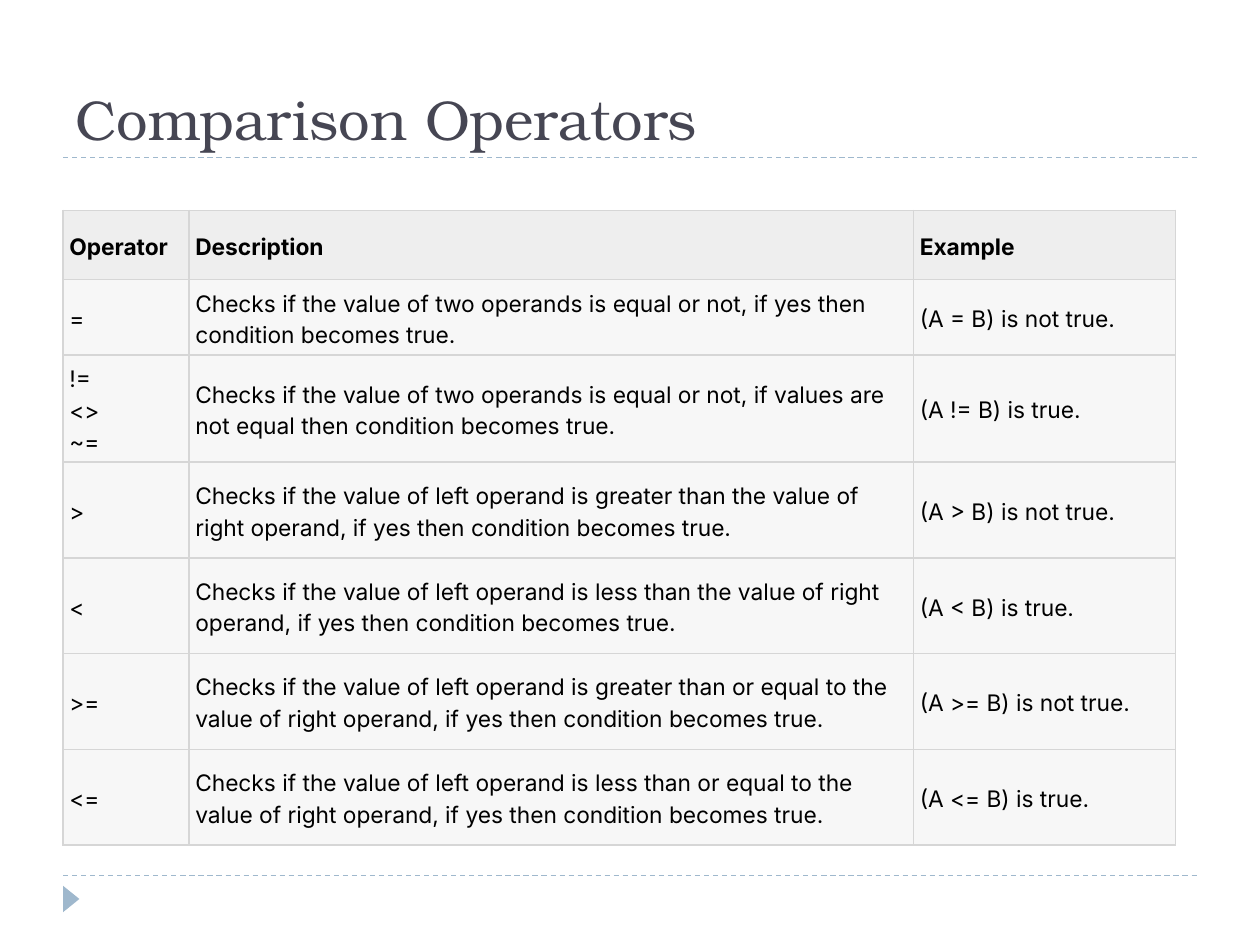
from lxml.etree import SubElement as Sub
from pptx import Presentation
from pptx.dml.color import RGBColor as Rgb
from pptx.enum.dml import MSO_LINE as Dash
from pptx.enum.shapes import MSO_CONNECTOR as Conn, MSO_SHAPE as Kind
from pptx.enum.text import MSO_ANCHOR as Anchor
from pptx.oxml.ns import qn
from pptx.util import Inches, Pt

WIDE, HIGH = Inches(10), Inches(7.5)
COL, ROW = WIDE / 20, HIGH / 30
HUES = {"title": "464653", "rule": "9FB8CD", "edge": "D6D6D6",
        "head": "EEEEEE", "body": "F7F7F7", "text": "000000"}
CHECK = "Checks if the value of "
YES = ", if yes then condition becomes true."
DATA = [
    ("Operator", "Description", "Example"),
    ("=", CHECK + "two operands is equal or not" + YES, "(A = B) is not true."),
    ("!=\n<>\n~=", CHECK + "two operands is equal or not, if values are "
     "not equal then condition becomes true.", "(A != B) is true."),
    (">", CHECK + "left operand is greater than the value of right operand" + YES,
     "(A > B) is not true."),
    ("<", CHECK + "left operand is less than the value of right operand" + YES,
     "(A < B) is true."),
    (">=", CHECK + "left operand is greater than or equal to the value of "
     "right operand" + YES, "(A >= B) is not true."),
    ("<=", CHECK + "left operand is less than or equal to the value of "
     "right operand" + YES, "(A <= B) is true."),
]
COLS = [2, 11.5, 4.16]
ROWS = [2.2] * 2 + [3.04] * 5


def hue(name):
    """Give the named colour."""
    return Rgb.from_string(HUES[name])


def grid(box):
    """Turn a box in columns and rows into slide lengths."""
    x, y, w, h = box
    return [round(n) for n in (x * COL, y * ROW, w * COL, h * ROW)]


def write(para, text, font, size, tone, bold=False):
    """Add text run by run, with a break between its lines."""
    for i, part in enumerate(text.split("\n")):
        if i:
            para.add_line_break()
        run = para.add_run()
        run.text = part
        run.font.name, run.font.size, run.font.bold = font, Pt(size), bold
        run.font.color.rgb = hue(tone)


def add_rule(slide, box):
    """Draw a dashed rule along the top of the box."""
    x, y, w, _ = grid(box)
    rule = slide.shapes.add_connector(Conn.STRAIGHT, x, y, x + w, y)
    rule.line.color.rgb = hue("rule")
    rule.line.width = Pt(0.75)
    rule.line.dash_style = Dash.DASH
    Sub(rule._element.spPr, qn("a:effectLst"))


def add_title(slide, box):
    """Place the title with a rule under it."""
    x, y, w, h = box
    add_rule(slide, (x, y + h, w, 0))
    frame = slide.shapes.add_textbox(*grid(box)).text_frame
    frame.word_wrap = True
    frame.vertical_anchor = Anchor.BOTTOM
    write(frame.paragraphs[0], "Comparison Operators", "TeX Gyre Bonum", 32, "title")


def add_foot(slide, box):
    """Place the bottom rule and the marker below it."""
    x, y, w, h = box
    add_rule(slide, box)
    mark = slide.shapes.add_shape(
        Kind.ISOSCELES_TRIANGLE, *grid((x - 0.08, y + h - 0.52, 0.42, 0.52)))
    mark.rotation = 90
    mark.shadow.inherit = False
    mark.fill.solid()
    mark.fill.fore_color.rgb = hue("rule")
    mark.line.fill.background()


def set_edge(cell):
    """Line all four sides of a cell."""
    prop = cell._tc.get_or_add_tcPr()
    for i, side in enumerate(("lnL", "lnR", "lnT", "lnB")):
        line = prop.makeelement(qn("a:" + side), {"w": str(Pt(1))})
        fill = Sub(line, qn("a:solidFill"))
        Sub(fill, qn("a:srgbClr"), val=HUES["edge"])
        prop.insert(i, line)


def fill_cell(cell, text, head):
    """Style one cell and write its text."""
    cell.fill.solid()
    cell.fill.fore_color.rgb = hue("head" if head else "body")
    cell.vertical_anchor = Anchor.MIDDLE
    cell.margin_left = cell.margin_right = Inches(0.05)
    cell.margin_top = cell.margin_bottom = Inches(0.05)
    para = cell.text_frame.paragraphs[0]
    para.line_spacing = 1.15
    write(para, text, "Inter", 13, "text", head)
    set_edge(cell)


def add_grid(slide, box):
    """Place the table of operators, its tracks sharing the box."""
    x, y, w, h = grid(box)
    table = slide.shapes.add_table(len(ROWS), len(COLS), x, y, w, h).table
    for col, part in zip(table.columns, COLS):
        col.width = round(w * part / sum(COLS))
    for row, part in zip(table.rows, ROWS):
        row.height = round(h * part / sum(ROWS))
    for r, line in enumerate(DATA):
        for c, text in enumerate(line):
            fill_cell(table.cell(r, c), text, r == 0)


def main():
    """Build and save the slide."""
    deck = Presentation()
    deck.slide_width, deck.slide_height = WIDE, HIGH
    slide = deck.slides.add_slide(deck.slide_layouts[6])
    add_foot(slide, (1, 27.8, 18, 1))
    add_title(slide, (1, 0.68, 18, 4.32))
    add_grid(slide, (1, 6.68, sum(COLS), sum(ROWS)))
    deck.save("out.pptx")


if __name__ == "__main__":
    main()
